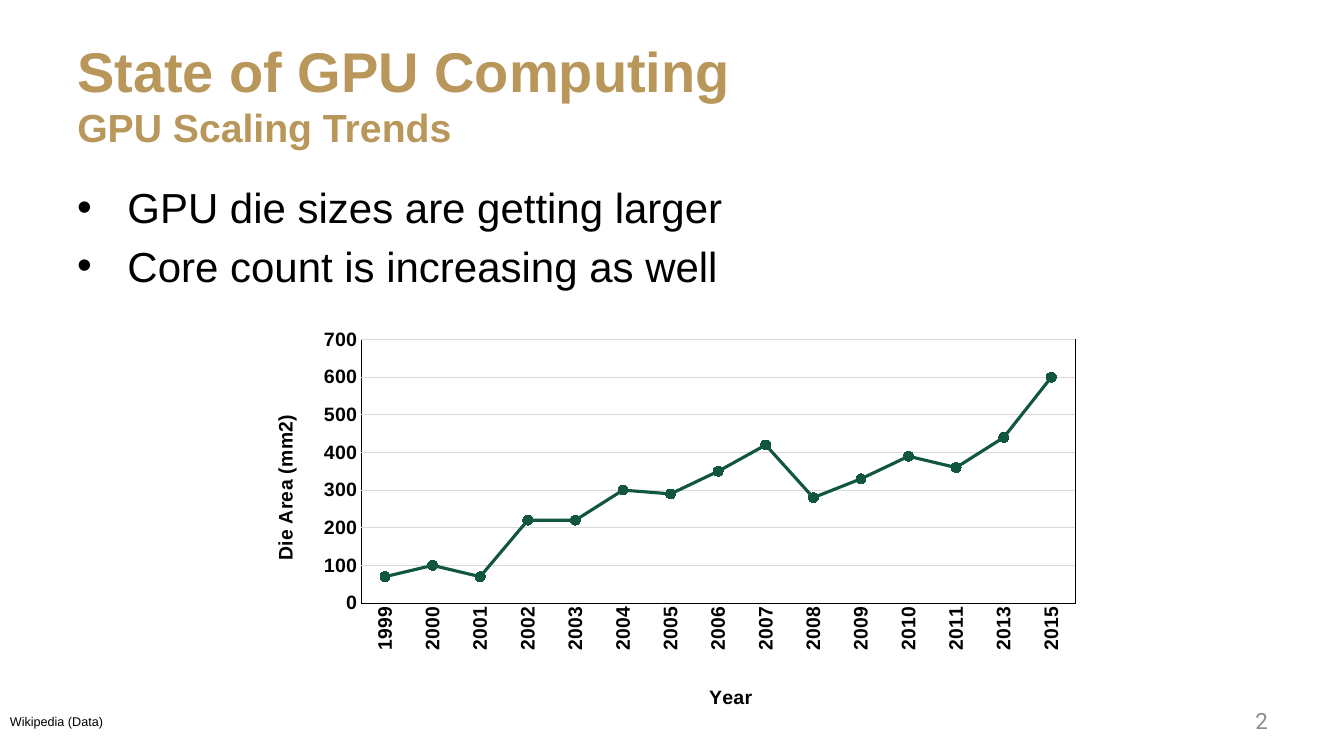
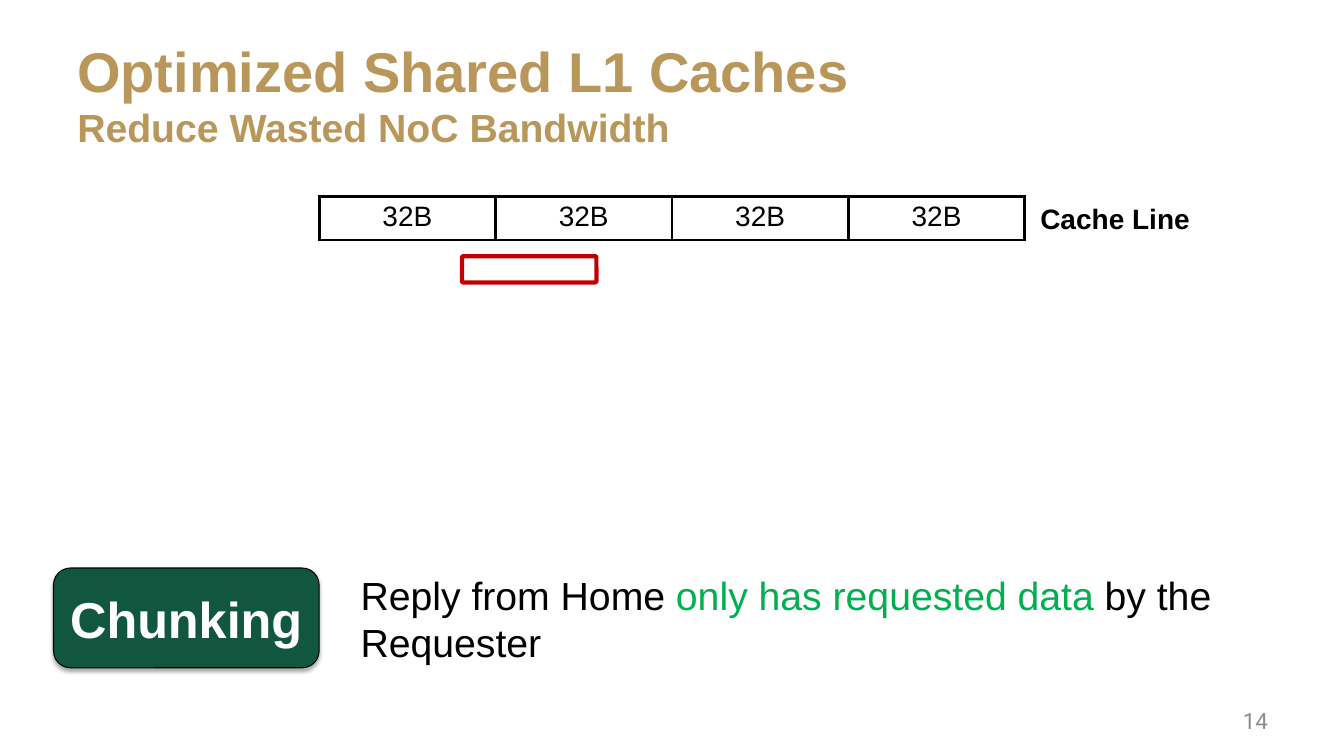
from dataclasses import dataclass
from typing import Sequence

from lxml import etree
from pptx import Presentation, oxml, util as u
from pptx.chart import data as chart_data
from pptx.dml import color
from pptx.enum import chart as chart_enum, shapes, text
from pptx.oxml import ns

EMU_PER_PX = 9525
TITLE_ONLY = 5


@dataclass(frozen=True)
class Theme:
    font: str = "Arial"
    number_font: str = "Roboto"
    gold: str = "B9975B"
    green: str = "115740"
    highlight: str = "00B050"
    red: str = "C00000"
    black: str = "000000"
    white: str = "FFFFFF"
    gray: str = "8C8C8C"
    grid: str = "D9D9D9"
    title: float = 40
    subtitle: float = 28
    bullet: float = 30
    callout: float = 36
    reply: float = 28
    label: float = 20
    number: float = 16
    axis: float = 14
    source: float = 9


THEME = Theme()


@dataclass(frozen=True)
class Box:
    left: int
    top: int
    width: int
    height: int

    def emu(self) -> tuple:
        return tuple(px(n) for n in (self.left, self.top, self.width, self.height))


@dataclass(frozen=True)
class Piece:
    words: str
    size: float
    color: str = THEME.black
    bold: bool = False
    font: str = THEME.font


@dataclass(frozen=True)
class AxisStyle:
    title: str
    title_x: float
    title_y: float
    title_turn: int
    label_turn: int


TITLE_BOX = Box(64, 29, 1152, 120)
NUMBER_BOX = Box(918, 667, 299, 38)
LEFT, CENTER, RIGHT = text.PP_ALIGN.LEFT, text.PP_ALIGN.CENTER, text.PP_ALIGN.RIGHT
TOP, MIDDLE = text.MSO_ANCHOR.TOP, text.MSO_ANCHOR.MIDDLE
DIE_AREAS = {
    "1999": 70, "2000": 100, "2001": 70, "2002": 220, "2003": 220,
    "2004": 300, "2005": 290, "2006": 350, "2007": 420, "2008": 280,
    "2009": 330, "2010": 390, "2011": 360, "2013": 440, "2015": 600,
}


def px(length: int) -> int:
    return u.Emu(length * EMU_PER_PX)


def rgb(value: str) -> color.RGBColor:
    return color.RGBColor.from_string(value)


def style_font(font, size: float, value: str, bold: bool, name: str = THEME.font) -> None:
    font.size, font.bold, font.name = u.Pt(size), bold, name
    font.color.rgb = rgb(value)


def style_line(line, value: str, width: float) -> None:
    line.color.rgb = rgb(value)
    line.width = u.Pt(width)


def add_runs(paragraph, pieces: Sequence[Piece]) -> None:
    for piece in pieces:
        run = paragraph.add_run()
        run.text = piece.words
        style_font(run.font, piece.size, piece.color, piece.bold, piece.font)


def add_text(slide, box: Box, pieces: Sequence[Piece], align=LEFT, anchor=TOP):
    frame = slide.shapes.add_textbox(*box.emu()).text_frame
    frame.word_wrap = True
    frame.vertical_anchor = anchor
    paragraph = frame.paragraphs[0]
    paragraph.alignment = align
    add_runs(paragraph, pieces)
    return frame


def add_titled_slide(presentation, title: str, subtitle: str, number: int):
    slide = presentation.slides.add_slide(presentation.slide_layouts[TITLE_ONLY])
    shape = slide.shapes.title
    shape.left, shape.top, shape.width, shape.height = TITLE_BOX.emu()
    frame = shape.text_frame
    frame.auto_size = text.MSO_AUTO_SIZE.NONE
    frame.vertical_anchor = MIDDLE
    paragraph = frame.paragraphs[0]
    paragraph.alignment = LEFT
    add_runs(paragraph, [Piece(title, THEME.title, THEME.gold, True)])
    paragraph.add_line_break()
    add_runs(paragraph, [Piece(subtitle, THEME.subtitle, THEME.gold, True)])
    add_text(slide, NUMBER_BOX,
             [Piece(str(number), THEME.number, THEME.gray, font=THEME.number_font)],
             RIGHT, MIDDLE)
    return slide


def add_bullets(slide, box: Box, lines: Sequence[str]) -> None:
    frame = add_text(slide, box, [])
    for index, line in enumerate(lines):
        paragraph = frame.add_paragraph() if index else frame.paragraphs[0]
        properties = paragraph._p.get_or_add_pPr()
        properties.set("marL", str(px(48)))
        properties.set("indent", str(-px(48)))
        etree.SubElement(properties, ns.qn("a:buFont"), typeface=THEME.font)
        etree.SubElement(properties, ns.qn("a:buChar"), char="•")
        if index:
            paragraph.space_before = u.Pt(6)
        add_runs(paragraph, [Piece(line, THEME.bullet)])


def add_rounded(slide, box: Box, line: str, width: float, adjustment: float):
    shape = slide.shapes.add_shape(shapes.MSO_SHAPE.ROUNDED_RECTANGLE, *box.emu())
    shape.adjustments[0] = adjustment
    shape.shadow.inherit = False
    shape.fill.background()
    style_line(shape.line, line, width)
    return shape


def add_callout(slide, box: Box, words: str) -> None:
    shape = add_rounded(slide, box, THEME.black, 0.75, 0.17)
    shape.fill.solid()
    shape.fill.fore_color.rgb = rgb(THEME.green)
    effects = shape._element.spPr.find(ns.qn("a:effectLst"))
    shadow = etree.SubElement(effects, ns.qn("a:outerShdw"), blurRad=str(u.Pt(3.1)),
                              dist=str(u.Pt(1.8)), dir="5400000", rotWithShape="0")
    tint = etree.SubElement(shadow, ns.qn("a:srgbClr"), val=THEME.black)
    etree.SubElement(tint, ns.qn("a:alpha"), val="35000")
    frame = shape.text_frame
    frame.word_wrap = False
    frame.vertical_anchor = MIDDLE
    frame.paragraphs[0].alignment = CENTER
    add_runs(frame.paragraphs[0], [Piece(words, THEME.callout, THEME.white, True)])


def add_cache_line(slide, box: Box, chunks: Sequence[str]) -> None:
    table = slide.shapes.add_table(1, len(chunks), *box.emu()).table
    table.first_row = table.horz_banding = False
    for cell, chunk in zip(table.rows[0].cells, chunks):
        properties = cell._tc.get_or_add_tcPr()
        for side in ("lnL", "lnR", "lnT", "lnB"):
            border = etree.SubElement(properties, ns.qn(f"a:{side}"), w=str(u.Pt(2.25)))
            fill = etree.SubElement(border, ns.qn("a:solidFill"))
            etree.SubElement(fill, ns.qn("a:srgbClr"), val=THEME.black)
        cell.fill.background()
        paragraph = cell.text_frame.paragraphs[0]
        paragraph.alignment = CENTER
        add_runs(paragraph, [Piece(chunk, THEME.label)])


def place(element, **fractions: float):
    for old in element.findall(ns.qn("c:layout")):
        element.remove(old)
    layout = etree.Element(ns.qn("c:layout"))
    manual = etree.SubElement(layout, ns.qn("c:manualLayout"))
    if "w" in fractions:
        etree.SubElement(manual, ns.qn("c:layoutTarget"), val="inner")
    for mode in ("xMode", "yMode"):
        etree.SubElement(manual, ns.qn(f"c:{mode}"), val="edge")
    for name, value in fractions.items():
        etree.SubElement(manual, ns.qn(f"c:{name}"), val=str(value))
    return layout


def style_axis(axis, style: AxisStyle) -> None:
    axis.major_tick_mark = axis.minor_tick_mark = chart_enum.XL_TICK_MARK.NONE
    style_font(axis.tick_labels.font, THEME.axis, THEME.black, True)
    label_body = axis._element.find(ns.qn("c:txPr")).find(ns.qn("a:bodyPr"))
    label_body.set("rot", str(style.label_turn * 60000))
    label_body.set("vert", "horz")
    frame = axis.axis_title.text_frame
    add_runs(frame.paragraphs[0], [Piece(style.title, THEME.axis, bold=True)])
    title_body = frame._txBody.find(ns.qn("a:bodyPr"))
    title_body.set("rot", str(style.title_turn * 60000))
    title_body.set("vert", "horz")
    title = axis._element.find(ns.qn("c:title"))
    layout = place(title, x=style.title_x, y=style.title_y)
    title.find(ns.qn("c:tx")).addnext(layout)


def add_die_chart(slide, box: Box) -> None:
    data = chart_data.CategoryChartData(number_format="0")
    data.categories = list(DIE_AREAS)
    data.add_series("Series 1", list(DIE_AREAS.values()))
    chart = slide.shapes.add_chart(
        chart_enum.XL_CHART_TYPE.LINE_MARKERS, *box.emu(), data).chart
    chart.has_legend = chart.has_title = False
    style_font(chart.font, THEME.axis, THEME.black, True)
    years, areas = chart.category_axis, chart.value_axis
    style_axis(years, AxisStyle("Year", 0.54, 0.93, 0, -90))
    style_axis(areas, AxisStyle("Die Area (mm2)", 0.02, 0.24, -90, 0))
    style_line(years.format.line, THEME.black, 0.75)
    areas.format.line.fill.background()
    areas.minimum_scale, areas.maximum_scale, areas.major_unit = 0, 700, 100
    areas.tick_labels.number_format = "0"
    areas.tick_labels.number_format_is_linked = False
    style_line(areas.major_gridlines.format.line, THEME.grid, 0.75)

    plot = chart.plots[0]
    plot.vary_by_categories = False
    series = plot.series[0]
    series.smooth = False
    style_line(series.format.line, THEME.green, 2.25)
    series.marker.style = chart_enum.XL_MARKER_STYLE.CIRCLE
    series.marker.size = 7
    series.marker.format.fill.solid()
    series.marker.format.fill.fore_color.rgb = rgb(THEME.green)
    style_line(series.marker.format.line, THEME.green, 0.75)

    area = chart._chartSpace.chart.plotArea
    area.insert(0, place(area, x=0.13, y=0.05, w=0.85, h=0.68))
    area.append(oxml.parse_xml(
        f'<c:spPr {ns.nsdecls("c", "a")}><a:noFill/><a:ln w="{u.Pt(0.75)}"><a:solidFill>'
        f'<a:srgbClr val="{THEME.black}"/></a:solidFill></a:ln></c:spPr>'))


def build_trends(presentation) -> None:
    slide = add_titled_slide(
        presentation, "State of GPU Computing", "GPU Scaling Trends", 2)
    add_bullets(slide, Box(64, 168, 1152, 148),
                ["GPU die sizes are getting larger", "Core count is increasing as well"])
    add_die_chart(slide, Box(240, 305, 800, 375))
    add_text(slide, Box(0, 675, 815, 24), [Piece("Wikipedia (Data)", THEME.source)])


def build_chunking(presentation) -> None:
    slide = add_titled_slide(
        presentation, "Optimized Shared L1 Caches", "Reduce Wasted NoC Bandwidth", 14)
    add_cache_line(slide, Box(304, 187, 672, 41), ["32B"] * 4)
    add_text(slide, Box(976, 187, 172, 42),
             [Piece("Cache Line", THEME.label, bold=True)], CENTER)
    add_rounded(slide, Box(440, 244, 128, 25), THEME.red, 3, 0.05)
    add_callout(slide, Box(51, 541, 253, 95), "Chunking")
    add_text(slide, Box(334, 529, 881, 120), [
        Piece("Reply from Home ", THEME.reply),
        Piece("only has requested data", THEME.reply, THEME.highlight),
        Piece(" by the Requester", THEME.reply),
    ], anchor=MIDDLE)


def main() -> None:
    presentation = Presentation()
    presentation.slide_width, presentation.slide_height = px(1280), px(720)
    build_trends(presentation)
    build_chunking(presentation)
    presentation.save("out.pptx")


if __name__ == "__main__":
    main()
